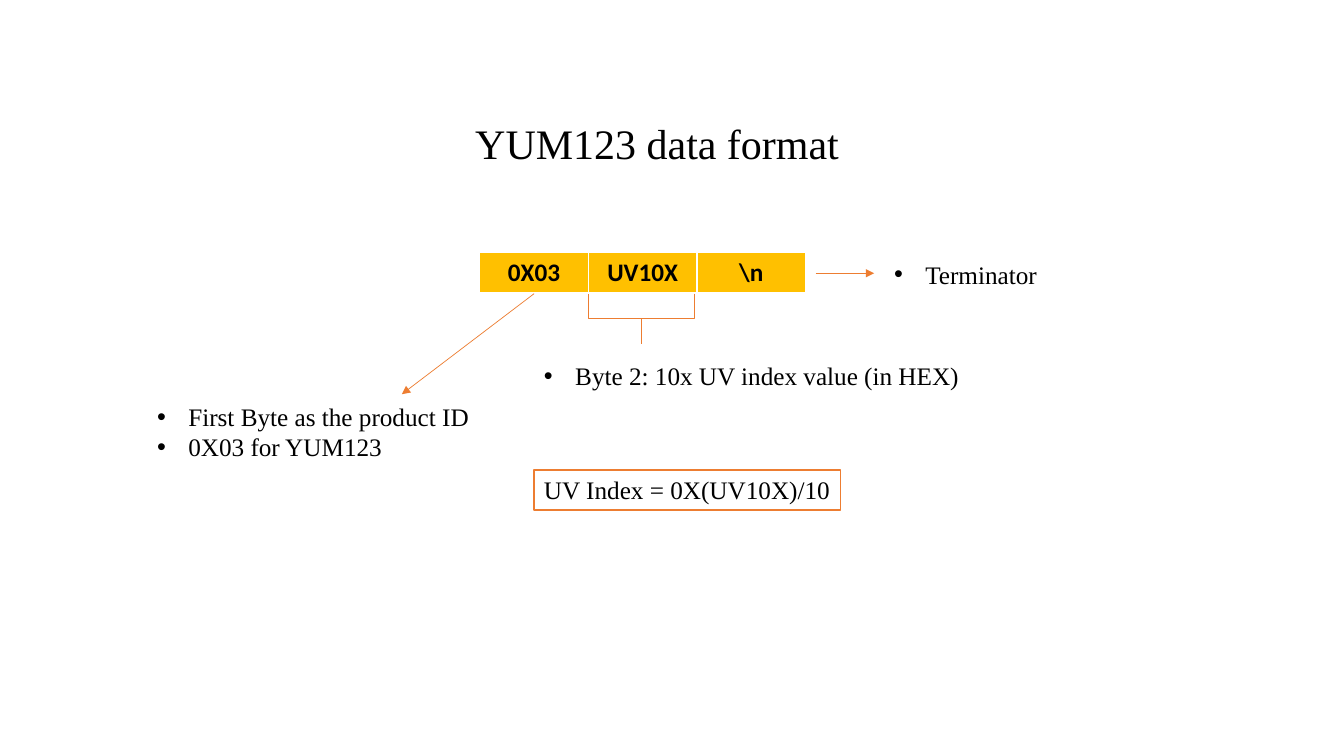
from dataclasses import dataclass

from lxml.etree import SubElement
from pptx import Presentation
from pptx.dml.color import RGBColor
from pptx.enum.shapes import MSO_CONNECTOR, MSO_SHAPE
from pptx.enum.text import MSO_ANCHOR, MSO_AUTO_SIZE, PP_ALIGN
from pptx.oxml.ns import qn
from pptx.util import Inches, Pt


@dataclass(frozen=True)
class Theme:
    """Colours, fonts and type sizes of the slide."""
    ink: RGBColor = RGBColor(0, 0, 0)
    paper: RGBColor = RGBColor(255, 255, 255)
    byte_fill: RGBColor = RGBColor(0xFF, 0xC0, 0x00)
    accent: RGBColor = RGBColor(0xED, 0x7D, 0x31)
    serif: str = "Times New Roman"
    sans: str = "Calibri"
    title: int = 30
    body: int = 18


THEME = Theme()
prs = Presentation()
prs.slide_width, prs.slide_height = Inches(13.33), Inches(7.5)


def grid(*lengths):
    """Turn alternating shares (percent) of slide width and height into EMU."""
    sides = (prs.slide_width, prs.slide_height)
    return [int(n * sides[i % 2] / 100) for i, n in enumerate(lengths)]


def style(p, size=THEME.body, font=THEME.serif, bold=False, align=PP_ALIGN.LEFT):
    """Set the font and alignment of a paragraph."""
    p.font.size, p.font.name, p.font.bold = Pt(size), font, bold
    p.font.color.rgb = THEME.ink
    p.alignment = align


def add_title(s, box, text):
    """Move and format the title placeholder."""
    sp = s.shapes.title
    sp.left, sp.top, sp.width, sp.height = grid(*box)
    tf = sp.text_frame
    tf.text, tf.vertical_anchor = text, MSO_ANCHOR.BOTTOM
    tf.auto_size = MSO_AUTO_SIZE.NONE
    style(tf.paragraphs[0], THEME.title, align=PP_ALIGN.CENTER)
    tf.paragraphs[0].line_spacing = 0.9


def add_borders(cell):
    """Draw white cell borders, the bottom one heavier."""
    tc_pr = cell._tc.get_or_add_tcPr()
    for i, (side, width) in enumerate((("L", 1), ("R", 1), ("T", 1), ("B", 3))):
        ln = tc_pr.makeelement(qn(f"a:ln{side}"), {"w": str(Pt(width))})
        fill = SubElement(ln, qn("a:solidFill"))
        SubElement(fill, qn("a:srgbClr"), val=str(THEME.paper))
        tc_pr.insert(i, ln)


def add_bytes(s, box, labels):
    """Show the bytes of the message as a table of one row."""
    table = s.shapes.add_table(1, len(labels), *grid(*box)).table
    for cell, label in zip(table.rows[0].cells, labels):
        cell.text = label
        cell.fill.solid()
        cell.fill.fore_color.rgb = THEME.byte_fill
        style(cell.text_frame.paragraphs[0], font=THEME.sans, bold=True,
              align=PP_ALIGN.CENTER)
        add_borders(cell)


def add_arrow(s, start, end):
    """Draw a thin arrow from start to end."""
    line = s.shapes.add_connector(MSO_CONNECTOR.STRAIGHT, *grid(*start, *end))
    line.line.color.rgb, line.line.width = THEME.accent, Pt(0.5)
    SubElement(line.line._get_or_add_ln(), qn("a:tailEnd"), type="triangle")
    SubElement(line._element.spPr, qn("a:effectLst"))


def add_brace(s, box):
    """Draw a square brace that opens upwards and fills the box."""
    x, y, w, h = grid(*box)
    sp = s.shapes.add_shape(MSO_SHAPE.LEFT_BRACE, x + (w - h) // 2,
                            y + (h - w) // 2, h, w)
    sp.rotation = 270
    sp.adjustments[0], sp.adjustments[1] = 0, 0.5
    sp.shadow.inherit = False
    sp.fill.background()
    sp.line.color.rgb, sp.line.width = THEME.accent, Pt(0.5)


def add_notes_list(s, box, lines):
    """Write bulleted explanations of a byte."""
    tf = s.shapes.add_textbox(*grid(*box)).text_frame
    tf.text, tf.word_wrap = "\n".join(lines), True
    tf.auto_size = MSO_AUTO_SIZE.SHAPE_TO_FIT_TEXT
    for p in tf.paragraphs:
        style(p)
        p_pr = p._p.get_or_add_pPr()
        indent = Inches(0.31)
        p_pr.set("marL", str(indent))
        p_pr.set("indent", str(-indent))
        bullet_font = p_pr.makeelement(qn("a:buFont"), {"typeface": "Arial"})
        bullet = p_pr.makeelement(qn("a:buChar"), {"char": "•"})
        p_pr.insert(0, bullet_font)
        p_pr.insert(1, bullet)


def add_formula(s, box, text):
    """Frame the conversion formula."""
    sp = s.shapes.add_shape(MSO_SHAPE.RECTANGLE, *grid(*box))
    sp.shadow.inherit = False
    sp.fill.solid()
    sp.fill.fore_color.rgb = THEME.paper
    sp.line.color.rgb, sp.line.width = THEME.accent, Pt(1)
    tf = sp.text_frame
    tf.text, tf.word_wrap = text, True
    tf.vertical_anchor = MSO_ANCHOR.TOP
    style(tf.paragraphs[0])


def data_format_slide(box):
    """Build the slide, its explanations arranged around the byte table's box."""
    x, y, w, h = box
    s = prs.slides.add_slide(prs.slide_layouts[5])
    byte, bottom, middle = w / 3, y + h, y + h / 2
    add_title(s, (33.4, 12.7, 31, 10.3), "YUM123 data format")
    add_bytes(s, box, ("0X03", "UV10X", "\\n"))
    add_brace(s, (x + byte, bottom, byte - 0.2, 6.6))
    add_arrow(s, (x + byte / 2, bottom), (x - 5.8, bottom + 13.3))
    add_arrow(s, (x + w + 0.75, middle), (x + w + 5.1, middle))
    add_notes_list(s, (x - 24.75, bottom + 13.6, 27, 9.5),
                   ("First Byte as the product ID", "0X03 for YUM123"))
    add_notes_list(s, (x + byte / 2, bottom + 8.2, 32.6, 5.3),
                   ("Byte 2: 10x UV index value (in HEX)",))
    add_notes_list(s, (x + w + 5.85, y + 0.15, 29.5, 5.3), ("Terminator",))
    add_formula(s, (x + byte / 2, bottom + 23.3, 22.8, 5.3),
                "UV Index = 0X(UV10X)/10")


data_format_slide((35.7, 33.45, 24.24, 5.4))
prs.save("out.pptx")
